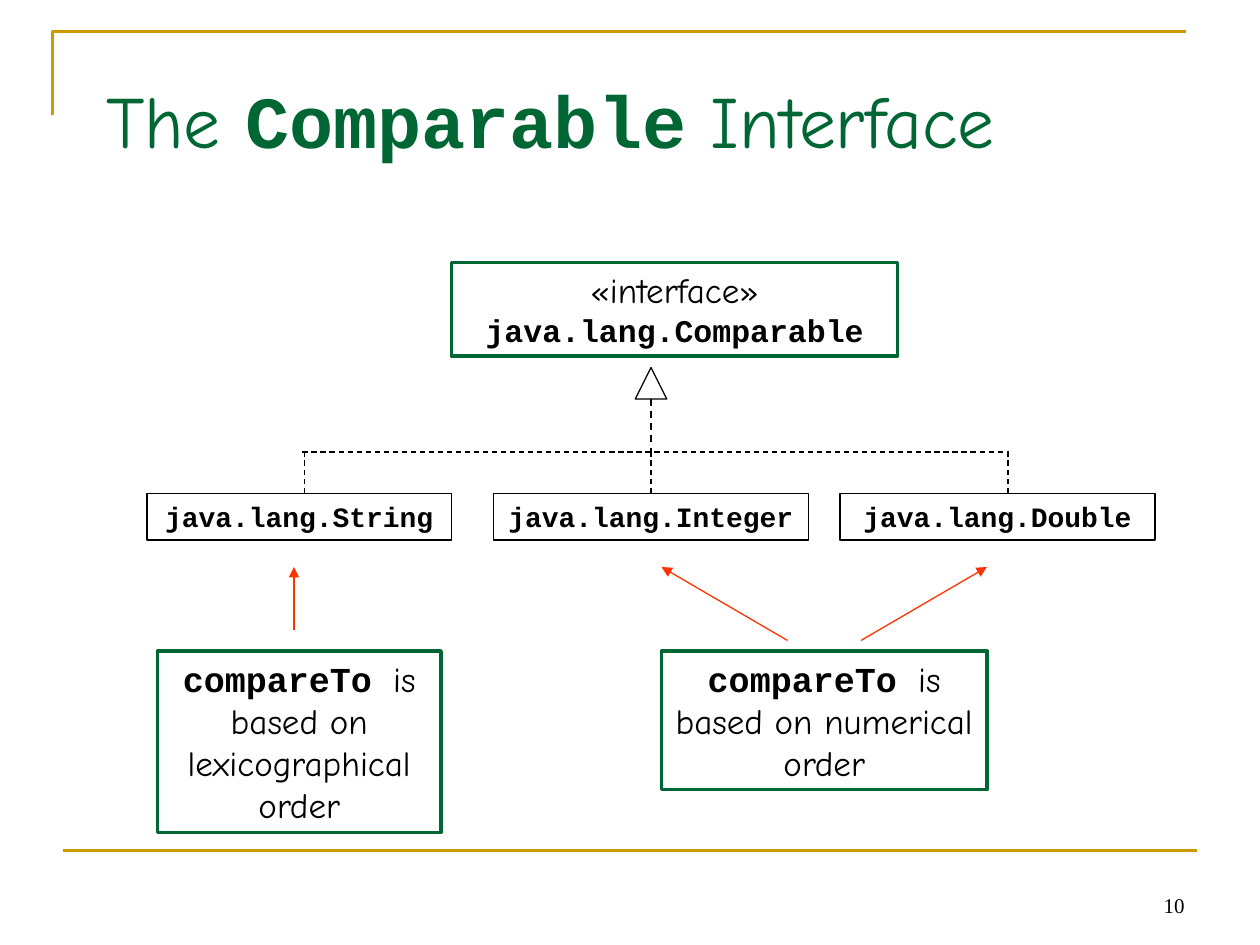
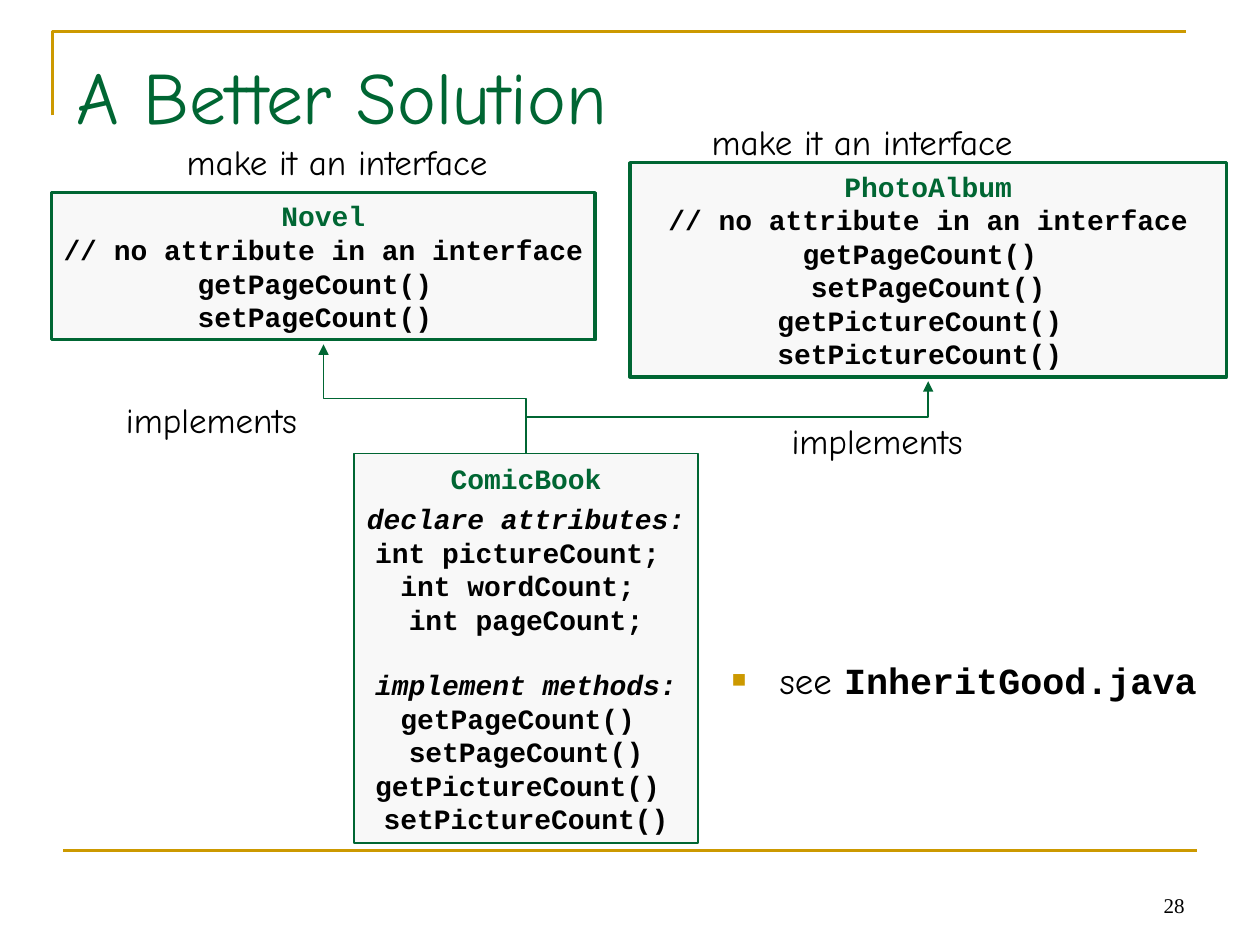
from lxml import etree
from pptx import Presentation, util as u
from pptx.dml.color import RGBColor
from pptx.enum import dml, shapes, text
from pptx.oxml import ns

COLORS = {"gold": "CC9900", "green": "006633", "red": "FF3300",
          "black": "000000", "panel": "F8F8F8"}
PROSE, CODE, NUMBER = "Comic Neue", "Courier New", "Times New Roman"
CENTER, RIGHT = text.PP_ALIGN.CENTER, text.PP_ALIGN.RIGHT
TOP, MIDDLE, BOTTOM = (text.MSO_ANCHOR.TOP, text.MSO_ANCHOR.MIDDLE,
                       text.MSO_ANCHOR.BOTTOM)


def grid(*cells):
    """Turn columns or rows of the 120 by 90 grid into lengths."""
    return [u.Inches(cell / 12) for cell in cells]


def color(name):
    return RGBColor.from_string(COLORS[name])


def child(parent, tag, **attributes):
    return etree.SubElement(parent, ns.qn(tag), attributes)


def prose(words, size=20, shade="black"):
    return words, PROSE, size, shade, False


def code(words, size=16, shade="black", italic=False):
    return words, CODE, size, shade, italic


def add_spans(para, spans):
    for words, font, size, shade, italic in spans:
        span = para.add_run()
        span.text = words
        span.font.name, span.font.size = font, u.Pt(size)
        span.font.bold, span.font.italic = font == CODE, italic
        span.font.color.rgb = color(shade)


def write(box, paras, align=None, anchor=TOP, wrap=True, gaps=None):
    """Fill a box with paragraphs of spans; gaps maps a row to points before it."""
    frame = box.text_frame
    frame.auto_size = text.MSO_AUTO_SIZE.NONE
    frame.word_wrap, frame.vertical_anchor = wrap, anchor
    for row, spans in enumerate(paras):
        para = frame.add_paragraph() if row else frame.paragraphs[0]
        para.alignment = align or text.PP_ALIGN.LEFT
        para.space_before = u.Pt((gaps or {}).get(row, 0))
        add_spans(para, spans)


def style_shape(shape, line, width, fill=None):
    shape.shadow.inherit = False
    shape.line.color.rgb, shape.line.width = color(line), u.Pt(width)
    if fill:
        shape.fill.solid()
        shape.fill.fore_color.rgb = color(fill)
    else:
        shape.fill.background()


def add_box(page, place, line="green", width=2, fill=None,
            kind=shapes.MSO_SHAPE.RECTANGLE):
    box = page.shapes.add_shape(kind, *grid(*place))
    style_shape(box, line, width, fill)
    return box


def add_label(page, place, spans, **layout):
    write(page.shapes.add_textbox(*grid(*place)), [spans], **layout)


def add_line(page, start, end, shade="black", width=0.75, dashed=False,
             arrow=None, kind=shapes.MSO_CONNECTOR.STRAIGHT):
    """Draw a connector; arrow is the end to mark, headEnd or tailEnd."""
    line = page.shapes.add_connector(kind, *grid(*start, *end))
    line.line.color.rgb, line.line.width = color(shade), u.Pt(width)
    if dashed:
        line.line.dash_style = dml.MSO_LINE.DASH
    if arrow:
        child(line.line._get_or_add_ln(), f"a:{arrow}", type="triangle")
    child(line.element.spPr, "a:effectLst")
    return line


def add_implements(page, parent, sub):
    """Bend a line down from the parent type's arrowhead to the subtype."""
    line = add_line(page, parent, sub, "green", 1, arrow="headEnd",
                    kind=shapes.MSO_CONNECTOR.ELBOW)
    run, drop = abs(sub[0] - parent[0]), sub[1] - parent[1]
    middle_x, middle_y = (parent[0] + sub[0]) / 2, (parent[1] + sub[1]) / 2
    line.left, line.top, line.width, line.height = grid(
        middle_x - drop / 2, middle_y - run / 2, drop, run)
    rightward = sub[0] > parent[0]
    frame = line.element.spPr.find(ns.qn("a:xfrm"))
    frame.set("rot", str((270 if rightward else 90) * 60000))
    frame.set("flipH", "1" if rightward else "0")


def add_page(deck, layout, number, place, title):
    """Start a page with the frame, page number and title that all share."""
    page = deck.slides.add_slide(deck.slide_layouts[layout])
    corner = page.shapes.build_freeform(*grid(5, 11))
    corner.add_line_segments([grid(5, 3), grid(113, 3)], close=False)
    style_shape(corner.convert_to_shape(), "gold", 1.5)
    add_line(page, (6, 81), (114, 81), "gold", 1.5)
    add_label(page, (86, 82, 28, 6), [(str(number), NUMBER, 12, "black", False)],
              align=RIGHT, anchor=BOTTOM)
    heading = page.shapes.title
    heading.left, heading.top, heading.width, heading.height = grid(*place)
    write(heading, [title])
    return page


def add_comparable_page(deck):
    page = add_page(deck, 5, 10, (8.9, 6.5, 95, 15), [
        prose("The ", 42, "green"), code("Comparable", 42, "green"),
        prose(" Interface", 42, "green")])
    interface = add_box(page, (43, 25, 42.5, 8.9))
    write(interface, [[prose("«interface»")],
                      [code("java.lang.Comparable", 18)]], CENTER)

    add_line(page, (62, 38), (62, 43), width=1, dashed=True)
    add_box(page, (60.5, 35, 3, 3), "black", 0.75,
            kind=shapes.MSO_SHAPE.ISOSCELES_TRIANGLE)
    add_line(page, (28.8, 43.05), (95.8, 43.05), dashed=True)
    classes = [("String", 14, 29, 29), ("Integer", 47, 30, 62),
               ("Double", 80, 30, 96)]
    for name, left, width, branch in classes:
        box = add_box(page, (left, 47, width, 4.45), "black", 0.75)
        write(box, [[code(f"java.lang.{name}")]], CENTER)
        line = add_line(page, (branch, 43), (branch, 47), dashed=True)
        if branch == left + width / 2:
            line.end_connect(box, 0)

    for place, order in [((15, 62, 27, 17.3), "lexicographical"),
                         ((63, 62, 31, 13.2), "numerical")]:
        write(add_box(page, place),
              [[code("compareTo ", 20), prose(f"is based on {order} order")]],
              CENTER)
    for start, end in [((28, 60), (28, 54)), ((75, 61), (63, 54)),
                       ((82, 61), (94, 54))]:
        add_line(page, start, end, "red", arrow="tailEnd")


def add_type_box(page, place, name, rows, width=2, gaps=None):
    box = add_box(page, place, width=width, fill="panel")
    write(box, [[code(name, shade="green")]] + [[row] for row in rows],
          CENTER, MIDDLE, wrap=False, gaps=gaps)


def add_bullet(page, place, spans):
    body = page.placeholders[1]
    body.left, body.top, body.width, body.height = grid(*place)
    props = body.text_frame.paragraphs[0]._p.get_or_add_pPr()
    indent = u.Inches(0.38)
    props.set("marL", str(indent))
    props.set("indent", str(-indent))
    child(child(props, "a:buClr"), "a:srgbClr", val=COLORS["gold"])
    child(props, "a:buSzPct", val="65000")
    child(props, "a:buChar", char="■")
    write(body, [spans])


def add_solution_page(deck):
    page = add_page(deck, 1, 28, (6.1, 4.3, 108.7, 15),
                    [prose("A Better Solution", 42, "green")])
    add_bullet(page, (68.5, 62, 50, 12),
               [prose("see ", 21), code("InheritGood.java", 21)])

    remark = code("// no attribute in an interface")
    add_type_box(page, (33.7, 43.2, 32.8, 37.1), "ComicBook", [
        code("declare attributes:", italic=True),
        code("int pictureCount; "), code("int wordCount; "),
        code("int pageCount;"),
        code("implement methods:", italic=True),
        code("getPageCount() "), code("setPageCount()"),
        code("getPictureCount() "), code("setPictureCount()"),
    ], width=1, gaps={1: 4, 5: 18})
    add_type_box(page, (60, 15.5, 56.8, 20.4), "PhotoAlbum", [
        remark, code("getPageCount() "), code("setPageCount()"),
        code("getPictureCount() "), code("setPictureCount() ")])
    add_type_box(page, (4.9, 18.35, 51.8, 14), "Novel", [
        remark, code("getPageCount() "), code("setPageCount() ")])

    for parent in [(30.8, 32.8), (88.4, 36.3)]:
        add_implements(page, parent, (50.1, 43.1))
    for left, top, words in [(66.6, 10.9, "make it an interface"),
                             (16.6, 12.8, "make it an interface"),
                             (10.8, 37.4, "implements"),
                             (74.2, 39.4, "implements")]:
        add_label(page, (left, top, 36.8, 5.3), [prose(words)])


def main():
    deck = Presentation()
    deck.slide_width, deck.slide_height = grid(120, 90)
    add_comparable_page(deck)
    add_solution_page(deck)
    deck.save("out.pptx")


if __name__ == "__main__":
    main()
